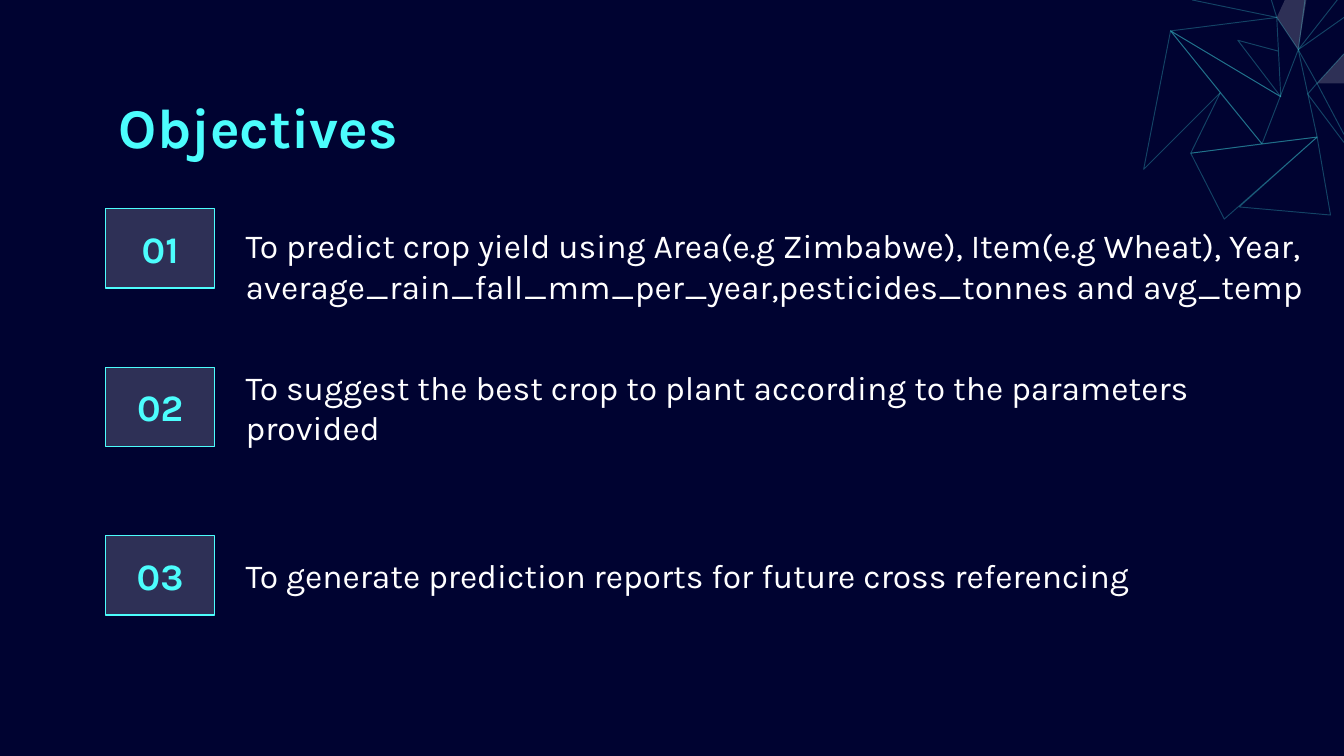
from dataclasses import dataclass
from typing import NamedTuple

from lxml import etree
from pptx import Presentation
from pptx.dml.color import RGBColor
from pptx.enum.shapes import MSO_SHAPE
from pptx.enum.text import MSO_ANCHOR, PP_ALIGN
from pptx.oxml.ns import qn
from pptx.util import Inches, Pt

RECT = MSO_SHAPE.RECTANGLE
TOP, MIDDLE = MSO_ANCHOR.TOP, MSO_ANCHOR.MIDDLE
LEFT, CENTER = PP_ALIGN.LEFT, PP_ALIGN.CENTER

# The grid has 100 columns across a 16:9 slide; rows have the same pitch.
WIDTH = Inches(10)
HEIGHT = WIDTH * 9 // 16
CELL = WIDTH / 100


@dataclass(frozen=True)
class Theme:
    font: str = "Karla"
    back: str = "000331"
    cyan: str = "4CFDFD"
    white: str = "FFFFFF"
    title: int = 30
    badge: int = 20
    body: int = 18
    edge: float = 0.75
    thread: float = 0.5
    veil: int = 18
    faint: int = 26


class Box(NamedTuple):
    col: float
    row: float
    cols: float
    rows: float


class Style(NamedTuple):
    size: int
    color: str
    bold: bool = False
    align: PP_ALIGN = LEFT
    anchor: MSO_ANCHOR = MIDDLE


class Goal(NamedTuple):
    row: float
    text: str
    area: Box


class Dot(NamedTuple):
    col: float
    row: float


THEME = Theme()
HEAD = Style(THEME.title, THEME.cyan, True, anchor=TOP)
BADGE = Style(THEME.badge, THEME.cyan, True, CENTER)
BODY = Style(THEME.body, THEME.white)

GOALS = [
    Goal(15.53, "To predict crop yield using Area(e.g Zimbabwe), Item(e.g Wheat), "
         "Year, average_rain_fall_mm_per_year,pesticides_tonnes and avg_temp",
         Box(17.3, 14.9, 84.3, 9.7)),
    Goal(27.33, "To suggest the best crop to plant according to the parameters "
         "provided", Box(17.3, 27.33, 75.6, 5.9)),
    Goal(39.85, "To generate prediction reports for future cross referencing",
         Box(17.3, 39.85, 81, 5.9)),
]

# Corners shared by the threads of the web
PEAK = Dot(87.1, 2.3)
CROWN = Dot(95, 1.3)
HUB = Dot(96.6, 3.7)
FORK = Dot(95.3, 7.2)
KNOT = Dot(98, 6.2)
MID = Dot(93.9, 10.7)
BEND = Dot(90.8, 6.9)
EAST = Dot(98, 10.2)
WEST = Dot(88.6, 11.4)

WEB = [
    [MID, EAST, HUB, MID],
    [Dot(100, 1.3), HUB, KNOT, Dot(100, 4)],
    [Dot(100, 10), KNOT, Dot(97.3, 7), Dot(100, 10.6)],
    [MID, PEAK, FORK, CROWN, HUB],
    [Dot(99.5, 0), HUB, Dot(97.1, 0)],
    [Dot(88.7, 0), CROWN, Dot(94.6, 0)],
    [CROWN, PEAK, FORK, Dot(92.1, 3), Dot(95.1, 3.8)],
    [PEAK, Dot(85.1, 12.6), BEND, PEAK],
    [WEST, Dot(91.1, 16.3), EAST, WEST],
    [WEST, MID, BEND, WEST],
    [EAST, Dot(92.2, 15.4), Dot(99, 16), EAST],
]
PANES = [
    [CROWN, Dot(95.6, 0), Dot(97.2, 0), HUB, CROWN],
    [KNOT, Dot(100, 6.2), Dot(100, 4), KNOT],
]


def unit(count: float) -> int:
    """Turn a count of grid cells into EMU."""
    return round(count * CELL)


def paint(fill, color: str, alpha: int = 100) -> None:
    """Set a solid colour with an opacity in percent."""
    fill.solid()
    fill.fore_color.rgb = RGBColor.from_string(color)
    if alpha < 100:
        tint = fill.fore_color._xFill.find(qn("a:srgbClr"))
        etree.SubElement(tint, qn("a:alpha"), val=str(alpha * 1000))


def write(shape, text: str, style: Style) -> None:
    frame = shape.text_frame
    frame.text = text
    frame.word_wrap = True
    frame.vertical_anchor = style.anchor
    frame.margin_left = frame.margin_right = unit(1)
    frame.margin_top = frame.margin_bottom = unit(1)
    line = frame.paragraphs[0]
    line.alignment = style.align
    font = line.runs[0].font
    font.name, font.size, font.bold = THEME.font, Pt(style.size), style.bold
    font.color.rgb = RGBColor.from_string(style.color)


def label(shapes, box: Box, text: str, style: Style) -> None:
    write(shapes.add_textbox(*map(unit, box)), text, style)


def badge(shapes, box: Box, text: str) -> None:
    shape = shapes.add_shape(RECT, *map(unit, box))
    shape.shadow.inherit = False
    paint(shape.fill, THEME.white, THEME.veil)
    paint(shape.line.fill, THEME.cyan)
    shape.line.width = Pt(THEME.edge)
    write(shape, text, BADGE)


def trace(shapes, dots: list[Dot], pane: bool = False) -> None:
    """Draw a thread through the dots, or a filled pane inside them."""
    pts = [(unit(dot.col), unit(dot.row)) for dot in dots]
    pen = shapes.build_freeform(*pts[0])
    pen.add_line_segments(pts[1:], close=dots[0] == dots[-1])
    shape = pen.convert_to_shape()
    shape.shadow.inherit = False
    if pane:
        paint(shape.fill, THEME.white, THEME.veil)
        shape.line.fill.background()
    else:
        shape.fill.background()
        paint(shape.line.fill, THEME.cyan, THEME.faint)
        shape.line.width = Pt(THEME.thread)


def main() -> None:
    deck = Presentation()
    deck.slide_width, deck.slide_height = WIDTH, HEIGHT
    slide = deck.slides.add_slide(deck.slide_layouts[6])
    paint(slide.background.fill, THEME.back)
    shapes = slide.shapes
    for dots in WEB:
        trace(shapes, dots)
    for dots in PANES:
        trace(shapes, dots, pane=True)
    label(shapes, Box(7.87, 5.9, 84.3, 6.3), "Objectives", HEAD)
    for num, goal in enumerate(GOALS, 1):
        badge(shapes, Box(7.87, goal.row, 8.1, 5.9), f"{num:02}")
        label(shapes, goal.area, goal.text, BODY)
    deck.save("out.pptx")


if __name__ == "__main__":
    main()
